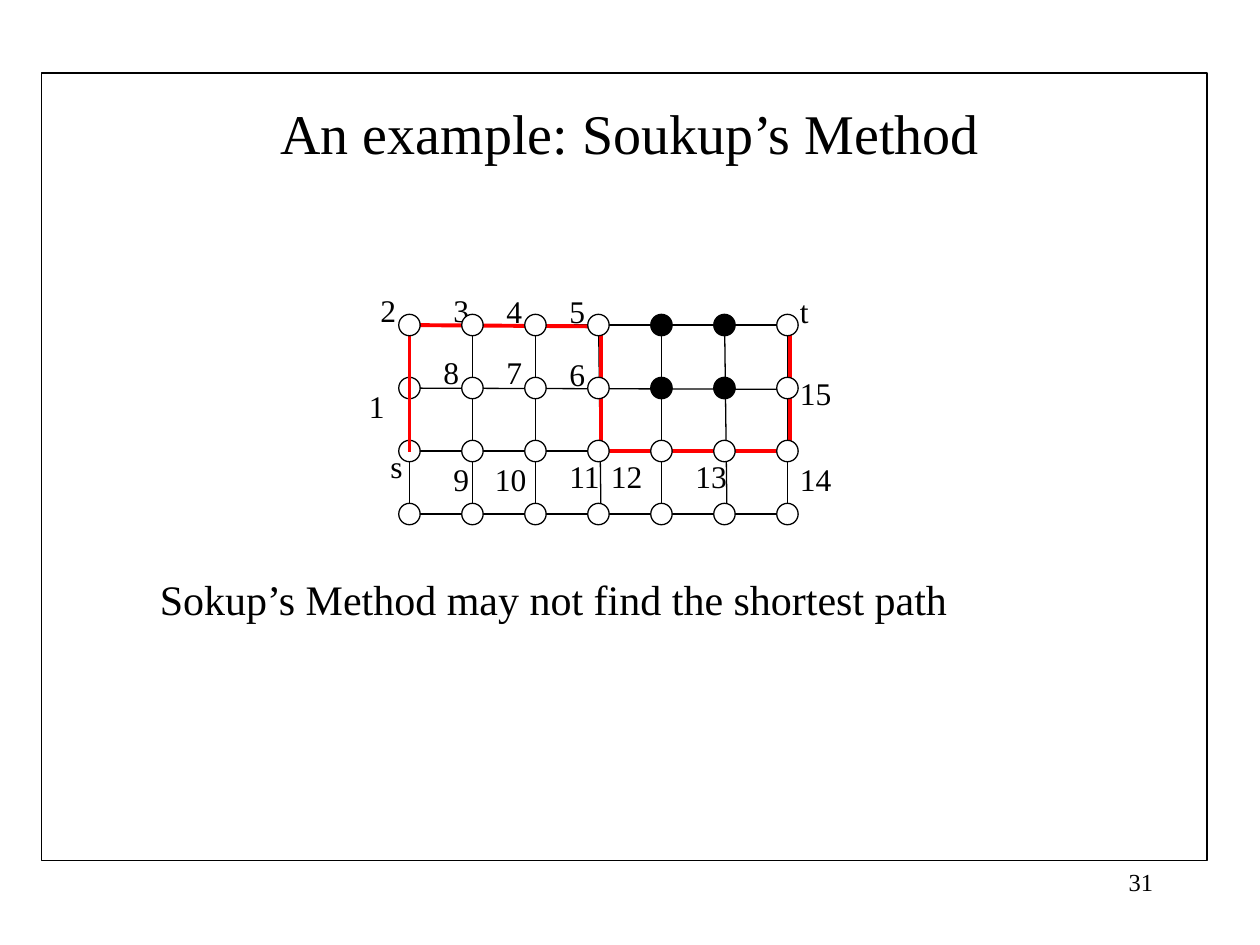
from dataclasses import dataclass

from lxml.etree import SubElement
from pptx import Presentation
from pptx.dml.color import RGBColor
from pptx.enum.shapes import MSO_CONNECTOR as Connector, MSO_SHAPE as Preset
from pptx.enum.text import MSO_ANCHOR as Anchor, MSO_AUTO_SIZE as AutoSize, PP_ALIGN as Align
from pptx.oxml.ns import qn
from pptx.util import Inches, Pt


@dataclass(frozen=True)
class Theme:
    font: str = "Times New Roman"
    ink: RGBColor = RGBColor(0, 0, 0)
    paper: RGBColor = RGBColor(255, 255, 255)
    route: RGBColor = RGBColor(255, 0, 0)
    title_size: float = 32
    caption_size: float = 24
    label_size: float = 18
    number_size: float = 14
    thin: float = 0.75
    thick: float = 2.25


@dataclass(frozen=True)
class Segment:
    x1: float
    y1: float
    x2: float
    y2: float


@dataclass(frozen=True)
class Label:
    text: str
    left: float
    top: float
    width: float = 0.58


THEME = Theme()

# Node grid: centre of the first node, spacing and node diameter
GRID_LEFT, GRID_TOP, STEP, NODE_SIZE = 3.25, 2.58, 0.5, 0.17
COLUMNS, ROWS = 7, 4
BLOCKED = {(4, 0), (5, 0), (4, 1), (5, 1)}
UNDER_ROUTE = [(0, 1), (0, 2)]

GRID_LINES = [
    Segment(3.75, 2.5, 3.75, 4.02),
    Segment(4.25, 2.5, 4.25, 4.11),
    Segment(4.75, 2.5, 4.77, 4.08),
    Segment(5.25, 2.5, 5.25, 4),
    Segment(5.75, 2.5, 5.77, 4.08),
    Segment(6.17, 3.09, 3.17, 3.08),
    Segment(6.25, 3.58, 3.25, 3.58),
]
ROUTE = [
    Segment(3.25, 2.58, 3.25, 3.59),
    Segment(4.67, 2.59, 3.25, 2.58),
    Segment(4.77, 2.58, 4.77, 3.59),
    Segment(6.25, 3.58, 4.83, 3.58),
    Segment(6.27, 2.58, 6.27, 3.59),
]
LABELS = [
    Label("s", 3, 3.5, 0.42),
    Label("1", 2.83, 3.02, 0.42),
    Label("2", 2.92, 2.26, 0.42),
    Label("3", 3.5, 2.26, 0.25),
    Label("4", 3.92, 2.27, 0.42),
    Label("5", 4.42, 2.27, 0.5),
    Label("6", 4.42, 2.77, 0.5),
    Label("7", 3.92, 2.75, 0.42),
    Label("8", 3.42, 2.75),
    Label("9", 3.5, 3.6),
    Label("10", 3.83, 3.6),
    Label("11", 4.42, 3.58),
    Label("12", 4.75, 3.58),
    Label("13", 5.42, 3.58),
    Label("14", 6.25, 3.6),
    Label("15", 6.25, 2.92),
    Label("t", 6.25, 2.27, 0.42),
]


def write(frame, text: str, size: float, align=Align.LEFT) -> None:
    frame.text = text
    frame.word_wrap = True
    para = frame.paragraphs[0]
    para.alignment = align
    for span in para.runs:
        span.font.name = THEME.font
        span.font.size = Pt(size)
        span.font.color.rgb = THEME.ink


def add_text(page, label: Label, height: float, size: float, align=Align.LEFT) -> None:
    box = page.shapes.add_textbox(
        Inches(label.left), Inches(label.top), Inches(label.width), Inches(height))
    write(box.text_frame, label.text, size, align)
    box.text_frame.auto_size = AutoSize.SHAPE_TO_FIT_TEXT


def add_outline(page, preset, left: float, top: float, width: float, height: float, fill=None) -> None:
    shape = page.shapes.add_shape(
        preset, Inches(left), Inches(top), Inches(width), Inches(height))
    shape.shadow.inherit = False
    shape.line.color.rgb = THEME.ink
    shape.line.width = Pt(THEME.thin)
    if fill is None:
        shape.fill.background()
    else:
        shape.fill.solid()
        shape.fill.fore_color.rgb = fill


def add_line(page, segment: Segment, color: RGBColor, weight: float) -> None:
    line = page.shapes.add_connector(
        Connector.STRAIGHT, Inches(segment.x1), Inches(segment.y1),
        Inches(segment.x2), Inches(segment.y2))
    line.line.color.rgb = color
    line.line.width = Pt(weight)
    SubElement(line._element.spPr, qn("a:effectLst"))


def add_node(page, column: int, row: int) -> None:
    left = GRID_LEFT + column * STEP - NODE_SIZE / 2
    top = GRID_TOP + row * STEP - NODE_SIZE / 2
    fill = THEME.ink if (column, row) in BLOCKED else THEME.paper
    add_outline(page, Preset.OVAL, left, top, NODE_SIZE, NODE_SIZE, fill)


def main() -> None:
    deck = Presentation()
    deck.slide_width, deck.slide_height = Inches(10), Inches(7.5)
    page = deck.slides.add_slide(deck.slide_layouts[5])

    # Title, page frame and page number
    title = page.shapes.title
    title.left, title.top = Inches(0.75), Inches(0.42)
    title.width, title.height = Inches(8.5), Inches(1.25)
    write(title.text_frame, "An example: Soukup’s Method", THEME.title_size, Align.CENTER)
    title.text_frame.vertical_anchor = Anchor.MIDDLE
    add_outline(page, Preset.RECTANGLE, 0.33, 0.58, 9.25, 6.25)
    add_text(page, Label("31", 7.17, 6.83, 2.08), 0.5, THEME.number_size, Align.RIGHT)

    # Grid and step labels
    add_outline(page, Preset.RECTANGLE, GRID_LEFT, GRID_TOP,
                (COLUMNS - 1) * STEP, (ROWS - 1) * STEP)
    for segment in GRID_LINES:
        add_line(page, segment, THEME.ink, THEME.thin)
    for label in LABELS:
        add_text(page, label, 0.4, THEME.label_size)

    # Route, crossing over the first two nodes and under the others
    for column, row in UNDER_ROUTE:
        add_node(page, column, row)
    for segment in ROUTE:
        add_line(page, segment, THEME.route, THEME.thick)
    for row in range(ROWS):
        for column in range(COLUMNS):
            if (column, row) not in UNDER_ROUTE:
                add_node(page, column, row)

    # Conclusion
    add_text(page, Label("Sokup’s Method may not find the shortest path", 1.17, 4.5, 7.33),
             0.5, THEME.caption_size)

    deck.save("out.pptx")


if __name__ == "__main__":
    main()
